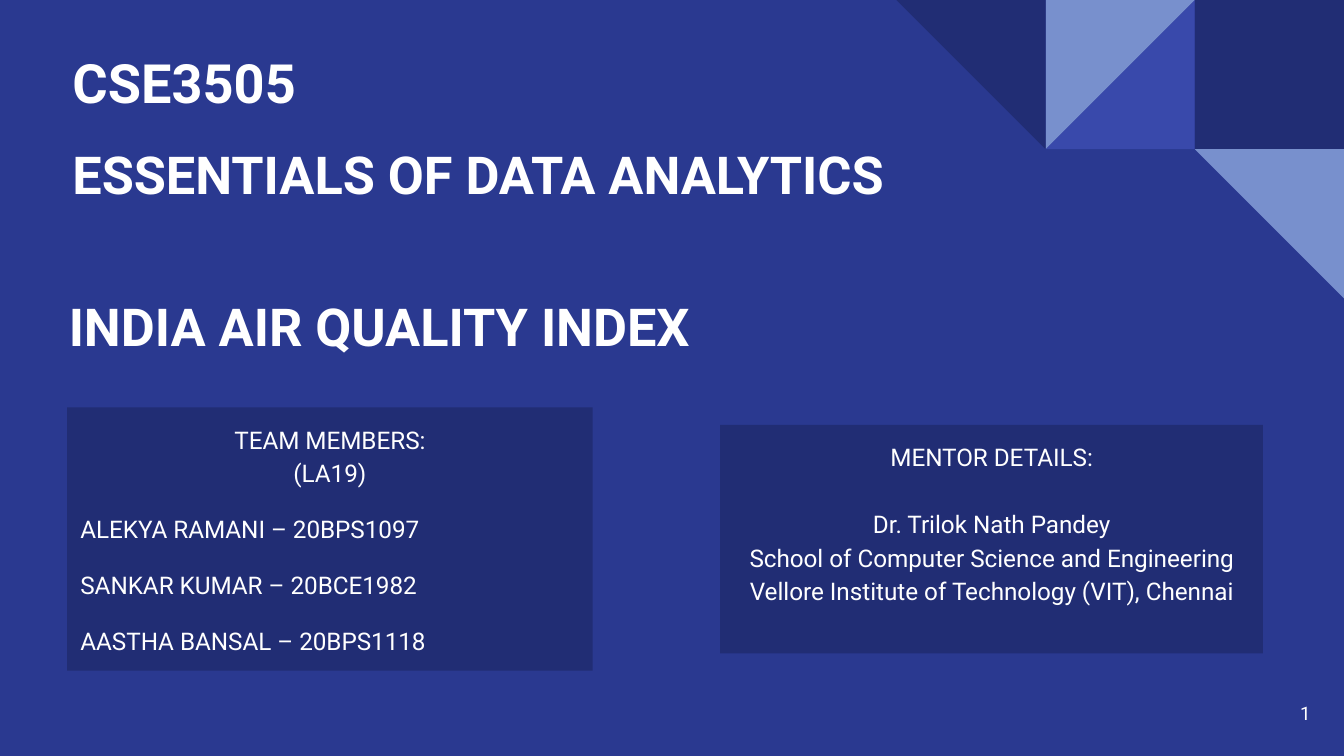
from pptx import Presentation
from pptx.dml.color import RGBColor
from pptx.enum.shapes import MSO_SHAPE
from pptx.enum.text import MSO_ANCHOR, MSO_AUTO_SIZE, PP_ALIGN
from pptx.util import Cm, Pt

COLOURS = {"background": "2A3990", "navy": "212D74", "indigo": "3949AB",
           "sky": "7890CD", "text": "FFFFFF"}
FONT = "Roboto"
WIDTH, HEIGHT = 25.4, 14.29
TILE = 2.82
INSET = 0.25
LEFT, CENTER, RIGHT = PP_ALIGN.LEFT, PP_ALIGN.CENTER, PP_ALIGN.RIGHT

TITLE = "INDIA AIR QUALITY INDEX"

# text, (left, top, width, height) in cm, size, bold, alignment, anchor
LABELS = [
    ("CSE3505", (1.12, 0.69, 7.54, 1.75), 29, True, LEFT, MSO_ANCHOR.TOP),
    ("ESSENTIALS OF DATA ANALYTICS", (1.12, 2.44, 17.02, 1.7), 28, True, LEFT, MSO_ANCHOR.TOP),
    ("1", (23.5, 12.93, 1.52, 1.09), 10, False, RIGHT, MSO_ANCHOR.MIDDLE),
]

# (left, top, width, height) in cm, then lines of text, alignment, space before
PANELS = [
    ((1.27, 7.7, 9.93, 4.98), [
        ("TEAM MEMBERS:", CENTER, 0),
        ("(LA19)", CENTER, 0),
        ("ALEKYA RAMANI – 20BPS1097", LEFT, 12),
        ("SANKAR KUMAR – 20BCE1982", LEFT, 12),
        ("AASTHA BANSAL – 20BPS1118", LEFT, 12),
    ]),
    ((13.61, 8.03, 10.26, 4.32), [
        ("MENTOR DETAILS:", CENTER, 0),
        ("Dr. Trilok Nath Pandey", CENTER, 18),
        ("School of Computer Science and Engineering", CENTER, 0),
        ("Vellore Institute of Technology (VIT), Chennai", CENTER, 0),
    ]),
]

# columns from the right edge, row, shape, rotation, colour
TILES = [
    (1, 0, MSO_SHAPE.RECTANGLE, 0, "navy"),
    (2, 0, MSO_SHAPE.RIGHT_TRIANGLE, 270, "indigo"),
    (2, 0, MSO_SHAPE.RIGHT_TRIANGLE, 90, "sky"),
    (3, 0, MSO_SHAPE.RIGHT_TRIANGLE, 180, "navy"),
    (1, 1, MSO_SHAPE.RIGHT_TRIANGLE, 180, "sky"),
]


def colour(name):
    return RGBColor.from_string(COLOURS[name])


def lengths(place):
    return [Cm(value) for value in place]


def add_filled(page, kind, place, fill):
    shape = page.shapes.add_shape(kind, *lengths(place))
    shape.shadow.inherit = False
    shape.fill.solid()
    shape.fill.fore_color.rgb = colour(fill)
    shape.line.fill.background()
    return shape


def set_frame(frame, anchor):
    frame.word_wrap = True
    frame.auto_size = MSO_AUTO_SIZE.NONE
    frame.vertical_anchor = anchor
    frame.margin_left = frame.margin_right = Cm(INSET)
    frame.margin_top = frame.margin_bottom = Cm(INSET)


def format_paragraph(paragraph, size, bold, alignment):
    paragraph.alignment = alignment
    for span in paragraph.runs:
        span.font.name = FONT
        span.font.size = Pt(size)
        span.font.bold = bold
        span.font.color.rgb = colour("text")


def add_title(page):
    title = page.shapes.title
    title.left, title.top, title.width, title.height = lengths((0.66, 4.75, 22.83, 2.34))
    frame = title.text_frame
    frame.text = TITLE
    set_frame(frame, MSO_ANCHOR.BOTTOM)
    frame.margin_left, frame.margin_bottom = Cm(0.64), Cm(0.34)
    format_paragraph(frame.paragraphs[0], 28, True, LEFT)


def add_label(page, text, place, size, bold, alignment, anchor):
    frame = page.shapes.add_textbox(*lengths(place)).text_frame
    frame.text = text
    set_frame(frame, anchor)
    format_paragraph(frame.paragraphs[0], size, bold, alignment)


def add_panel(page, place, lines):
    frame = add_filled(page, MSO_SHAPE.RECTANGLE, place, "navy").text_frame
    frame.text = "\n".join(text for text, _, _ in lines)
    set_frame(frame, MSO_ANCHOR.TOP)
    for paragraph, (_, alignment, space) in zip(frame.paragraphs, lines):
        format_paragraph(paragraph, 13, False, alignment)
        paragraph.line_spacing = 1.15
        paragraph.space_before = Pt(space)


def main():
    deck = Presentation()
    deck.slide_width, deck.slide_height = Cm(WIDTH), Cm(HEIGHT)
    page = deck.slides.add_slide(deck.slide_layouts.get_by_name("Title Only"))
    page.background.fill.solid()
    page.background.fill.fore_color.rgb = colour("background")

    for column, row, kind, rotation, fill in TILES:
        place = (WIDTH - column * TILE, row * TILE, TILE, TILE)
        add_filled(page, kind, place, fill).rotation = rotation
    add_title(page)
    for label in LABELS:
        add_label(page, *label)
    for place, lines in PANELS:
        add_panel(page, place, lines)

    deck.save("out.pptx")


if __name__ == "__main__":
    main()
